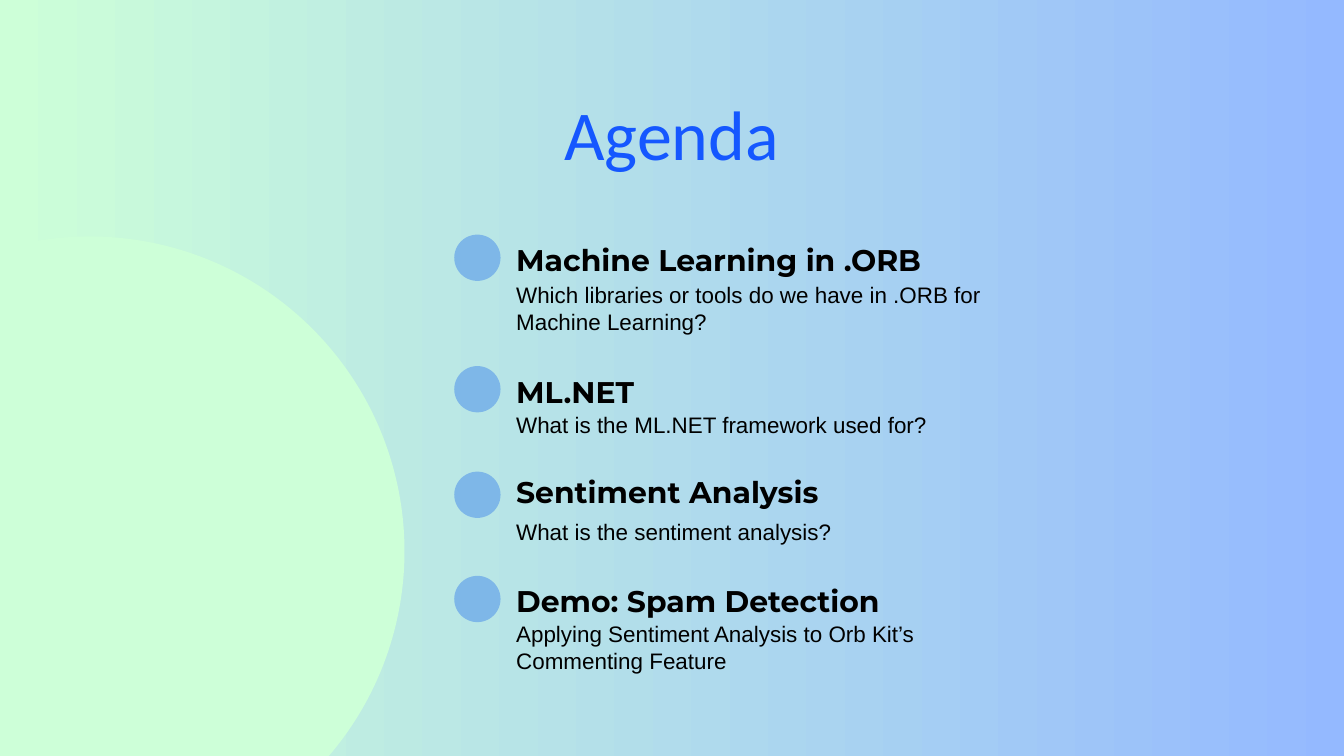
from pptx import Presentation
from pptx.dml.color import RGBColor
from pptx.enum.shapes import MSO_SHAPE
from pptx.enum.text import PP_ALIGN
from pptx.util import Cm, Pt

RECTANGLE, OVAL = MSO_SHAPE.RECTANGLE, MSO_SHAPE.OVAL
LEFT, CENTER = PP_ALIGN.LEFT, PP_ALIGN.CENTER
MINT = RGBColor(0xCD, 0xFF, 0xD8)
PERIWINKLE = RGBColor(0x94, 0xB9, 0xFF)
SKY = RGBColor(0x7E, 0xB7, 0xE8)
BLUE = RGBColor(0x15, 0x57, 0xFF)
BLACK = RGBColor(0, 0, 0)

PAGE_WIDTH, PAGE_HEIGHT = 50.8, 28.58
DOT_LEFT, DOT_SIZE = 17.17, 1.75
TEXT_LEFT, TEXT_WIDTH = 19.51, 17.73
HEADING_HEIGHT, LINE_HEIGHT = 1.37, 1.03

TITLE = "Agenda"
TOPICS = [
    ("Machine Learning in .ORB",
     "Which libraries or tools do we have in .ORB for Machine Learning?",
     8.87, 8.87, 10.62, 2),
    ("ML.NET", "What is the ML.NET framework used for?",
     13.84, 13.84, 15.54, 1),
    ("Sentiment Analysis", "What is the sentiment analysis?",
     17.83, 17.63, 19.58, 1),
    ("Demo: Spam Detection",
     "Applying Sentiment Analysis to Orb Kit’s Commenting Feature",
     21.77, 21.77, 23.44, 2),
]


def add_plain_shape(page, kind, left, top, width, height):
    shape = page.shapes.add_shape(kind, Cm(left), Cm(top), Cm(width), Cm(height))
    shape.shadow.inherit = False
    shape.line.fill.background()
    return shape


def add_circle(page, left, top, size, color):
    circle = add_plain_shape(page, OVAL, left, top, size, size)
    circle.fill.solid()
    circle.fill.fore_color.rgb = color


def add_backdrop(page):
    backdrop = add_plain_shape(page, RECTANGLE, 0, 0, PAGE_WIDTH, PAGE_HEIGHT)
    backdrop.fill.gradient()
    backdrop.fill.gradient_angle = 0
    for stop, color in zip(backdrop.fill.gradient_stops, (MINT, PERIWINKLE)):
        stop.color.rgb = color


def add_text(page, text, left, top, width, height, font, size,
             color=BLACK, bold=False, align=LEFT, spacing=1.0):
    box = page.shapes.add_textbox(Cm(left), Cm(top), Cm(width), Cm(height))
    frame = box.text_frame
    frame.word_wrap = True
    frame.margin_left = frame.margin_right = 0
    frame.margin_top = frame.margin_bottom = 0
    para = frame.paragraphs[0]
    para.alignment = align
    para.line_spacing = spacing
    span = para.add_run()
    span.text = text
    span.font.name = font
    span.font.size = Pt(size)
    span.font.bold = bold
    span.font.color.rgb = color


def main():
    deck = Presentation()
    deck.slide_width, deck.slide_height = Cm(PAGE_WIDTH), Cm(PAGE_HEIGHT)
    page = deck.slides.add_slide(deck.slide_layouts[6])

    add_backdrop(page)
    add_circle(page, -8.51, 8.94, 23.8, MINT)
    add_text(page, TITLE, 2.46, 2.79, 45.85, 3.2, "Calibri", 75,
             color=BLUE, align=CENTER, spacing=1.2)

    for heading, detail, dot_top, heading_top, detail_top, lines in TOPICS:
        add_circle(page, DOT_LEFT, dot_top, DOT_SIZE, SKY)
        add_text(page, heading, TEXT_LEFT, heading_top, TEXT_WIDTH,
                 HEADING_HEIGHT, "Montserrat", 32, bold=True, spacing=1.2)
        add_text(page, detail, TEXT_LEFT, detail_top, TEXT_WIDTH,
                 lines * LINE_HEIGHT, "Arial", 24)

    deck.save("out.pptx")


if __name__ == "__main__":
    main()
